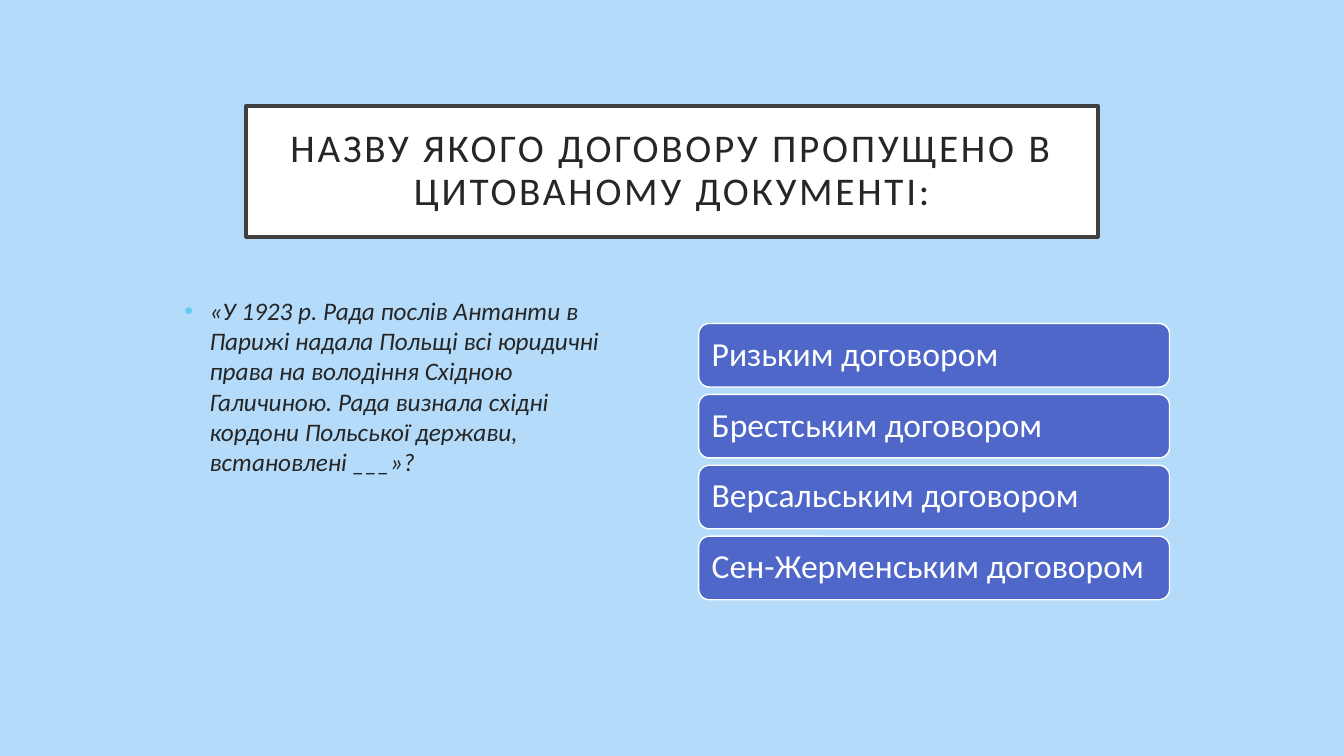
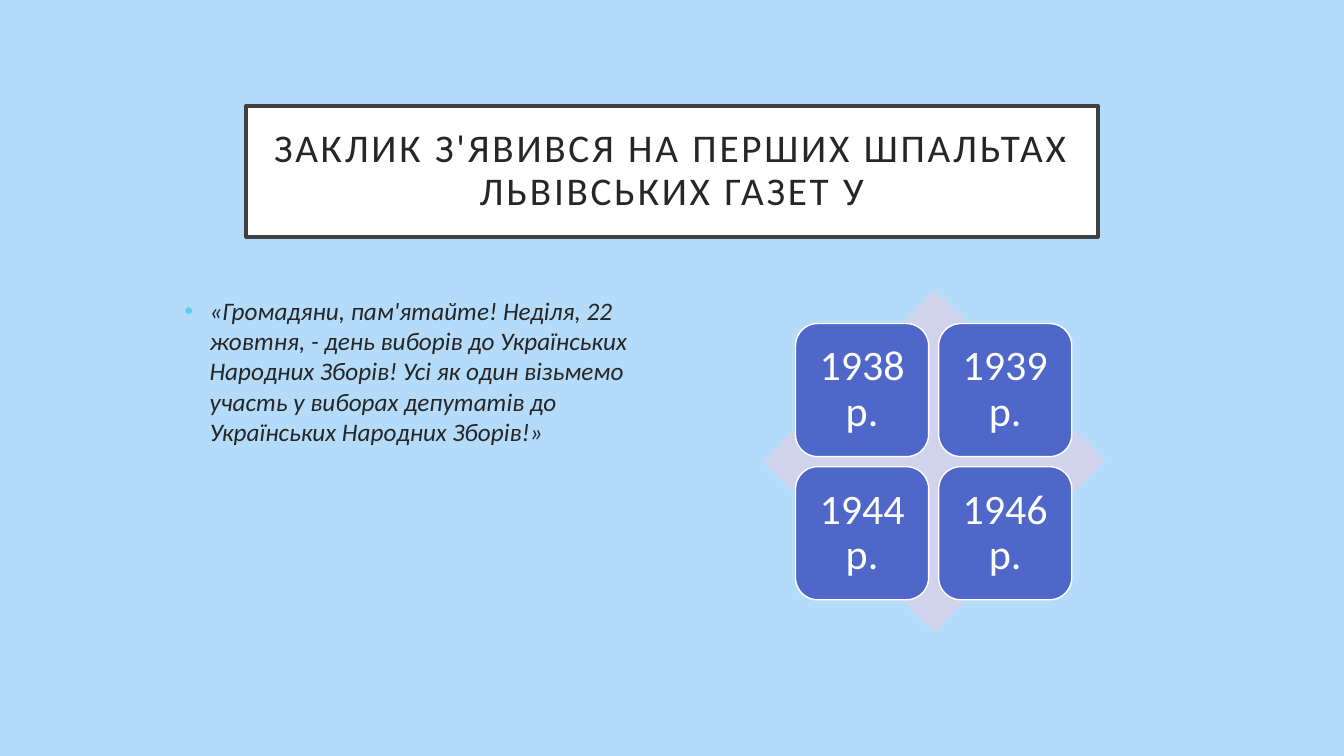
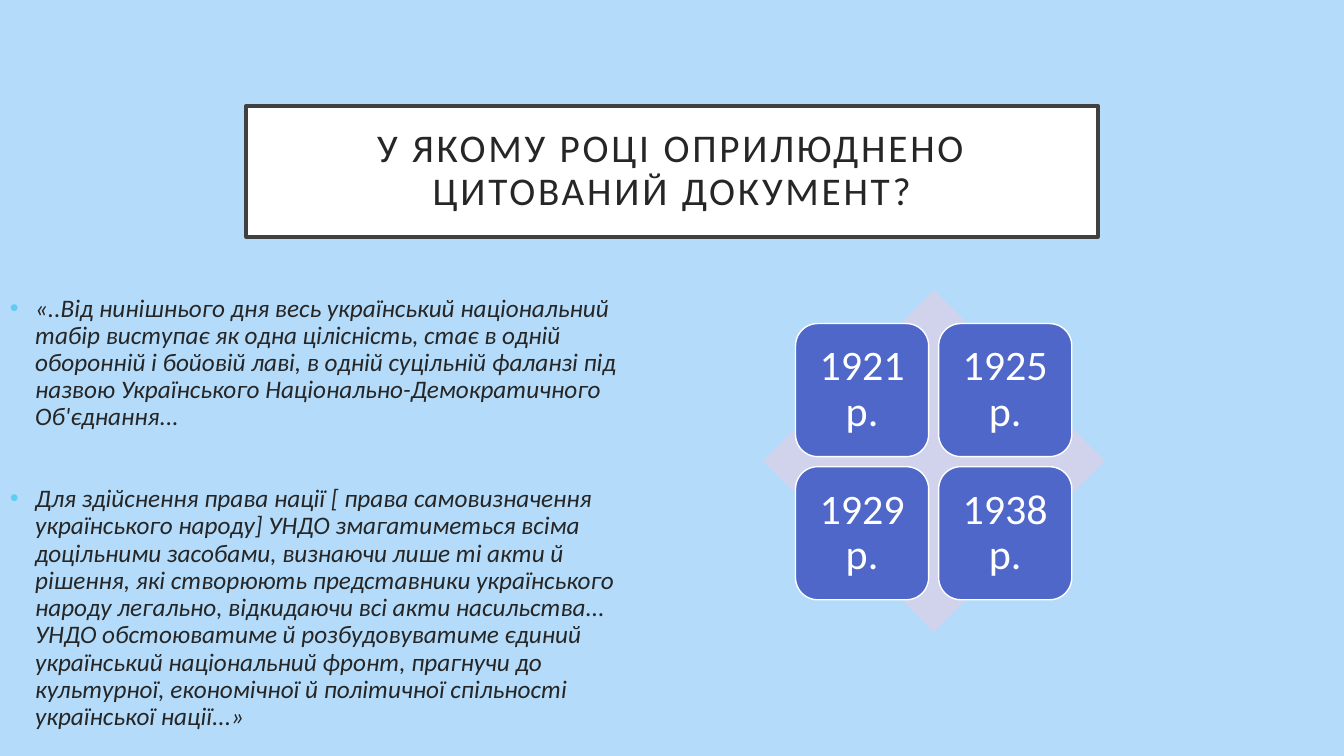
"""Build three history quiz slides: a title, a quotation and four answers."""
import dataclasses

import lxml.etree
import pptx
import pptx.dml.color
import pptx.enum.shapes
import pptx.enum.text
import pptx.oxml.ns
import pptx.util

Inches = pptx.util.Inches
Pt = pptx.util.Pt
Shape = pptx.enum.shapes.MSO_SHAPE
Align = pptx.enum.text.PP_ALIGN
Anchor = pptx.enum.text.MSO_ANCHOR
rgb = pptx.dml.color.RGBColor.from_string


@dataclasses.dataclass(frozen=True)
class Theme:
    font: str = "Calibri"
    sky: str = "B4DCFA"
    white: str = "FFFFFF"
    frame: str = "404040"
    ink: str = "262626"
    dot: str = "5ECCF3"
    blue: str = "4E67C8"
    pale: str = "D0D3EB"
    title: int = 28
    quote: int = 18
    row: int = 24
    year: int = 30


theme = Theme()


def add_box(slide, kind, left, top, width, height, fill, line=None, weight=1):
    box = slide.shapes.add_shape(kind, Inches(left), Inches(top), Inches(width), Inches(height))
    box.shadow.inherit = False
    box.fill.solid()
    box.fill.fore_color.rgb = rgb(fill)
    if line:
        box.line.color.rgb = rgb(line)
        box.line.width = Pt(weight)
    else:
        box.line.fill.background()
    return box


def set_text(box, lines, size, color, align, inset=None, space=0.9):
    frame = box.text_frame
    frame.word_wrap = True
    frame.text = "\n".join(lines)
    if inset is not None:
        frame.vertical_anchor = Anchor.MIDDLE
        frame.margin_left = frame.margin_right = Inches(inset)
        frame.margin_top = frame.margin_bottom = Inches(inset)
    for para in frame.paragraphs:
        para.alignment = align
        para.line_spacing = space
        for run in para.runs:
            run.font.name = theme.font
            run.font.size = Pt(size)
            run.font.color.rgb = rgb(color)


slides = [
    {
        "title": "НАЗВУ ЯКОГО ДОГОВОРУ ПРОПУЩЕНО В ЦИТОВАНОМУ ДОКУМЕНТІ:",
        "quote": [
            "«У 1923 р. Рада послів Антанти в Парижі надала Польщі всі юридичні права на "
            "володіння Східною Галичиною. Рада визнала східні кордони Польської держави, "
            "встановлені ___»?",
        ],
        "place": (1.73, 2.88, 4.67, 3.39),
        "space": 1.0,
        "form": "rows",
        "picks": ["Ризьким договором", "Брестським договором",
                  "Версальським договором", "Сен-Жерменським договором"],
    },
    {
        "title": "ЗАКЛИК З'ЯВИВСЯ НА ПЕРШИХ ШПАЛЬТАХ ЛЬВІВСЬКИХ ГАЗЕТ У",
        "quote": [
            "«Громадяни, пам'ятайте! Неділя, 22 жовтня, - день виборів до Українських "
            "Народних Зборів! Усі як один візьмемо участь у виборах депутатів до "
            "Українських Народних Зборів!»",
        ],
        "place": (1.73, 2.88, 4.67, 3.39),
        "space": 1.0,
        "form": "grid",
        "picks": ["1938 р.", "1939 р.", "1944 р.", "1946 р."],
    },
    {
        "title": "У ЯКОМУ РОЦІ ОПРИЛЮДНЕНО ЦИТОВАНИЙ ДОКУМЕНТ?",
        "quote": [
            "«..Від нинішнього дня весь український національний табір виступає як одна "
            "цілісність, стає в одній оборонній і бойовій лаві, в одній суцільній фаланзі "
            "під назвою Українського Національно-Демократичного Об'єднання...",
            "Для здійснення права нації [ права самовизначення українського народу] УНДО "
            "змагатиметься всіма доцільними засобами, визнаючи лише ті акти й рішення, які "
            "створюють представники українського народу легально, відкидаючи всі акти "
            "насильства... УНДО обстоюватиме й розбудовуватиме єдиний український "
            "національний фронт, прагнучи до культурної, економічної й політичної "
            "спільності української нації...»",
        ],
        "place": (0, 2.88, 6.4, 4.46),
        "space": 0.9,
        "form": "grid",
        "picks": ["1921 р.", "1925 р.", "1929 р.", "1938 р."],
    },
]

top, span = 3.21, 2.74
forms = {
    "rows": {"cols": 1, "left": 6.93, "width": 4.67, "height": 0.63,
             "size": theme.row, "align": Align.LEFT, "inset": 0.1},
    "grid": {"cols": 2, "left": 7.89, "width": 1.32, "height": 1.32,
             "size": theme.year, "align": Align.CENTER, "inset": 0.12},
}

deck = pptx.Presentation()
deck.slide_width = Inches(13.33)
deck.slide_height = Inches(7.5)
back = deck.slide_master.background.fill
back.solid()
back.fore_color.rgb = rgb(theme.sky)

for item in slides:
    slide = deck.slides.add_slide(deck.slide_layouts[6])

    title = add_box(slide, Shape.RECTANGLE, 2.44, 1.05, 8.45, 1.3, theme.white, theme.frame, 2.5)
    set_text(title, [item["title"]], theme.title, theme.ink, Align.CENTER, 0.2)
    for run in title.text_frame.paragraphs[0].runs:
        run._r.get_or_add_rPr().set("spc", "200")

    quote = slide.shapes.add_textbox(*[Inches(side) for side in item["place"]])
    set_text(quote, item["quote"], theme.quote, theme.ink, Align.LEFT, space=item["space"])
    for index, para in enumerate(quote.text_frame.paragraphs):
        if index:
            para.space_before = Pt(39)
        props = para._p.get_or_add_pPr()
        props.set("marL", str(Inches(0.25)))
        props.set("indent", str(Inches(-0.25)))
        tint = lxml.etree.SubElement(props, pptx.oxml.ns.qn("a:buClr"))
        lxml.etree.SubElement(tint, pptx.oxml.ns.qn("a:srgbClr"), val=theme.dot)
        lxml.etree.SubElement(props, pptx.oxml.ns.qn("a:buFont"), typeface="Arial")
        lxml.etree.SubElement(props, pptx.oxml.ns.qn("a:buChar"), char="•")
        for run in para.runs:
            run.font.italic = True

    form = forms[item["form"]]
    if item["form"] == "grid":
        add_box(slide, Shape.DIAMOND, 7.57, 2.88, 3.39, 3.39, theme.pale)
    count = len(item["picks"]) // form["cols"]
    step = (span - form["height"]) / (count - 1)
    for index, pick in enumerate(item["picks"]):
        row, col = divmod(index, form["cols"])
        card = add_box(slide, Shape.ROUNDED_RECTANGLE, form["left"] + col * step, top + row * step,
                       form["width"], form["height"], theme.blue, theme.white)
        set_text(card, [pick], form["size"], theme.white, form["align"], form["inset"])

deck.save("out.pptx")
